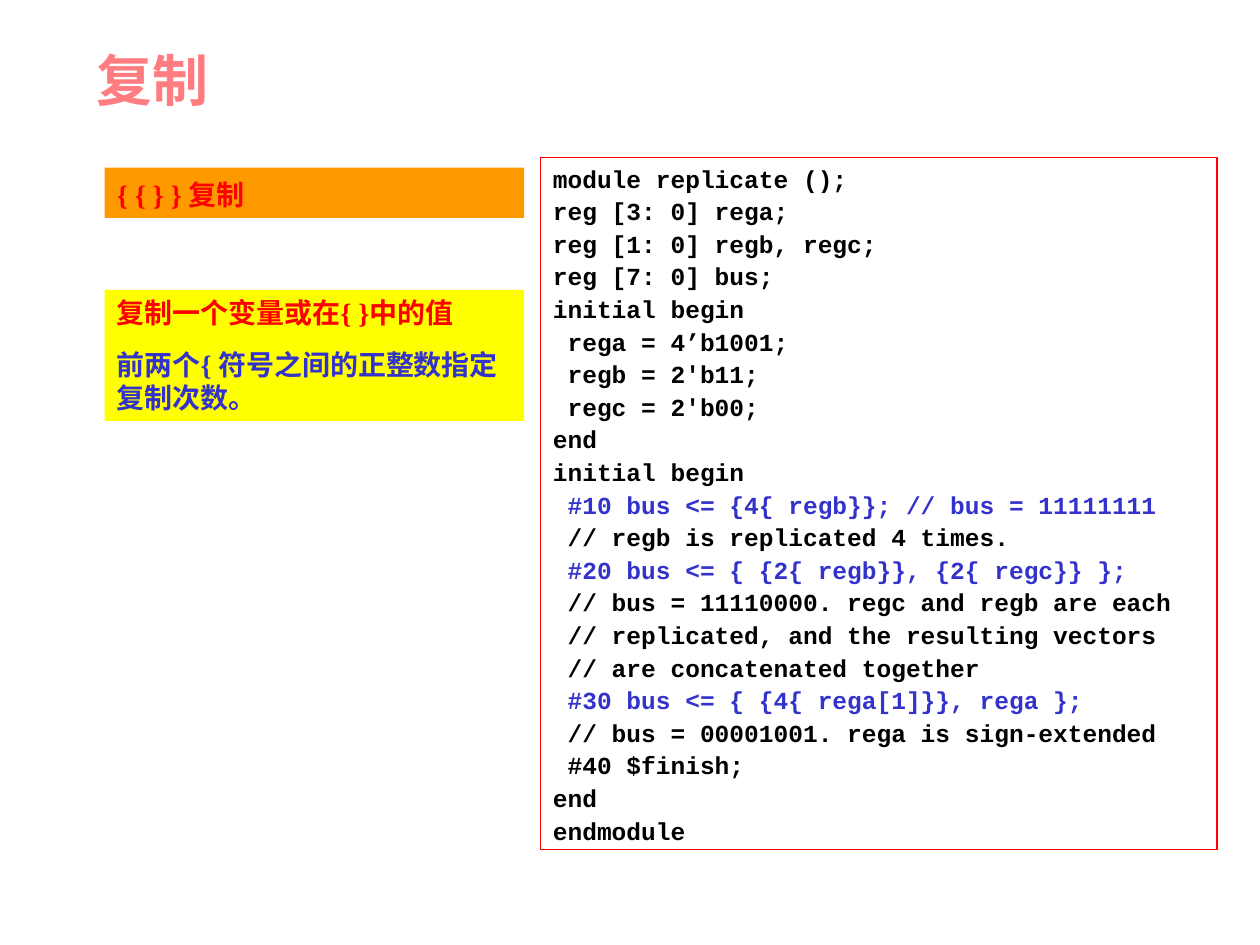
import pptx
import pptx.util
import pptx.dml.color
import pptx.enum.shapes
import pptx.enum.text

Inches = pptx.util.Inches
Pt = pptx.util.Pt
RGBColor = pptx.dml.color.RGBColor

PINK = RGBColor(0xFF, 0x7C, 0x80)
RED = RGBColor(0xFF, 0x00, 0x00)
BLUE = RGBColor(0x33, 0x33, 0xCC)
BLACK = RGBColor(0x00, 0x00, 0x00)
ORANGE = RGBColor(0xFF, 0x99, 0x00)
YELLOW = RGBColor(0xFF, 0xFF, 0x00)

SERIF = "Times New Roman"
MONO = "Courier New"

CODE = """module replicate ();
reg [3: 0] rega;
reg [1: 0] regb, regc;
reg [7: 0] bus;
initial begin
 rega = 4’b1001;
 regb = 2'b11;
 regc = 2'b00;
end
initial begin
 #10 bus <= {4{ regb}}; // bus = 11111111
 // regb is replicated 4 times.
 #20 bus <= { {2{ regb}}, {2{ regc}} };
 // bus = 11110000. regc and regb are each
 // replicated, and the resulting vectors
 // are concatenated together
 #30 bus <= { {4{ rega[1]}}, rega };
 // bus = 00001001. rega is sign-extended
 #40 $finish;
end
endmodule"""


def write(frame, lines, face, size, gap=0):
    """Fill the frame with (text, colour) lines, gap points apart."""
    frame.word_wrap = True
    for i, (text, tint) in enumerate(lines):
        para = frame.paragraphs[0] if i == 0 else frame.add_paragraph()
        para.text = text
        para.alignment = pptx.enum.text.PP_ALIGN.LEFT
        para.space_before = Pt(gap if i else 0)
        for run in para.runs:
            run.font.name = face
            run.font.size = Pt(size)
            run.font.bold = True
            run.font.color.rgb = tint


def add_panel(slide, box, fill=None, edge=None):
    """Add a rectangle with top-anchored text and return its text frame."""
    kind = pptx.enum.shapes.MSO_SHAPE.RECTANGLE
    panel = slide.shapes.add_shape(kind, *map(Inches, box))
    panel.shadow.inherit = False
    if fill is None:
        panel.fill.background()
    else:
        panel.fill.solid()
        panel.fill.fore_color.rgb = fill
    if edge is None:
        panel.line.fill.background()
    else:
        panel.line.color.rgb = edge
        panel.line.width = Pt(0.75)
    panel.text_frame.vertical_anchor = pptx.enum.text.MSO_ANCHOR.TOP
    return panel.text_frame


def add_title(slide, box):
    frame = slide.shapes.add_textbox(*map(Inches, box)).text_frame
    frame.vertical_anchor = pptx.enum.text.MSO_ANCHOR.MIDDLE
    write(frame, [("复制", PINK)], SERIF, 32)


def add_syntax(slide, box):
    frame = add_panel(slide, box, fill=ORANGE)
    write(frame, [("{ { } } 复制", RED)], SERIF, 16)
    frame.paragraphs[0].line_spacing = 1.1


def add_notes(slide, box):
    lines = [
        ("复制一个变量或在{ }中的值", RED),
        ("前两个{ 符号之间的正整数指定复制次数。", BLUE),
    ]
    write(add_panel(slide, box, fill=YELLOW), lines, SERIF, 16, gap=10)


def add_code(slide, box):
    """Show the listing, with its replication statements in blue."""
    lines = [(line, BLUE if "bus <=" in line else BLACK)
             for line in CODE.split("\n")]
    write(add_panel(slide, box, edge=RED), lines, MONO, 14, gap=1.8)


def main():
    deck = pptx.Presentation()
    deck.slide_width = Inches(10)
    deck.slide_height = Inches(7.5)
    slide = deck.slides.add_slide(deck.slide_layouts[6])
    add_title(slide, (0.67, 0, 8.67, 1.25))
    add_syntax(slide, (0.83, 1.33, 3.33, 0.4))
    add_notes(slide, (0.83, 2.3, 3.33, 1.04))
    add_code(slide, (4.29, 1.25, 5.37, 5.49))
    deck.save("out.pptx")


if __name__ == "__main__":
    main()
